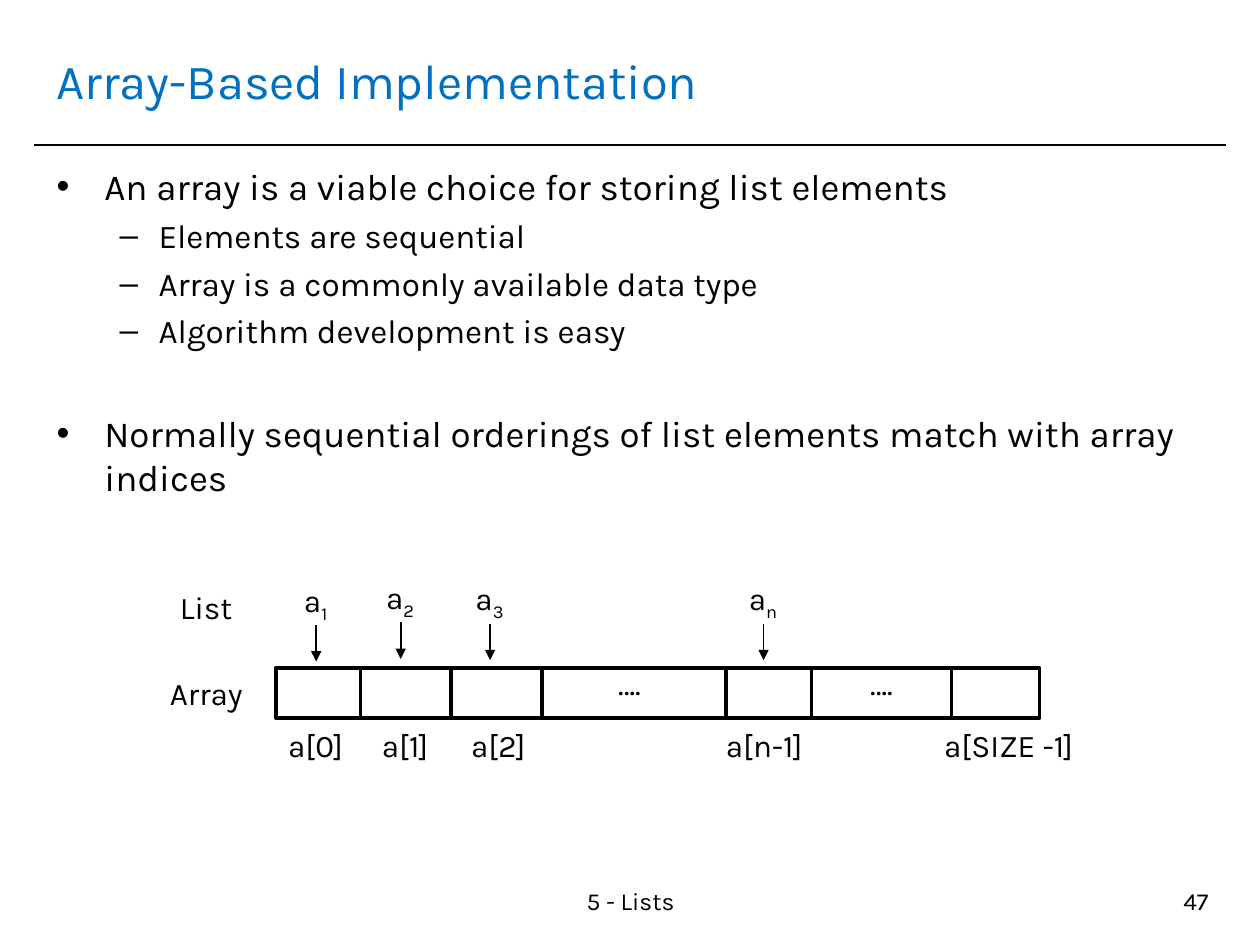
from lxml import etree
from pptx import Presentation
from pptx.dml.color import RGBColor
from pptx.enum.shapes import MSO_CONNECTOR as CONN, MSO_SHAPE as SHAPE
from pptx.enum.text import MSO_ANCHOR as ANCHOR, PP_ALIGN as ALIGN
from pptx.oxml.ns import qn
from pptx.util import Inches, Pt

BLACK, BLUE = "000000", "0070C0"

prs = Presentation()
prs.slide_width, prs.slide_height = Inches(10), Inches(7.5)
s = prs.slides.add_slide(prs.slide_layouts[6])


def add_text(text, x, y, w, h, size=18, color=BLACK, align=ALIGN.LEFT,
             anchor=ANCHOR.TOP, sub="", bullets=None):
    """Add a text box; bullets holds (char, margin, hanging, size, space before)."""
    tf = s.shapes.add_textbox(Inches(x), Inches(y), Inches(w), Inches(h)).text_frame
    tf.word_wrap = True
    tf.vertical_anchor = anchor
    for i, line in enumerate(text.split("\n")):
        p = tf.paragraphs[0] if i == 0 else tf.add_paragraph()
        p.alignment = align
        line_size = size
        if bullets:
            char, margin, hanging, line_size, before = bullets[i]
            pPr = p._p.get_or_add_pPr()
            pPr.set("marL", str(Inches(margin)))
            pPr.set("indent", str(-Inches(hanging)))
            p.space_before = Pt(before)
            etree.SubElement(pPr, qn("a:buFont")).set("typeface", "Arial")
            etree.SubElement(pPr, qn("a:buChar")).set("char", char)
        for part in filter(None, (line, sub)):
            r = p.add_run()
            r.text = part
            r.font.name, r.font.size = "Karla", Pt(line_size)
            r.font.color.rgb = RGBColor.from_string(color)
            if part == sub:
                r._r.get_or_add_rPr().set("baseline", "-25000")


def add_line(x1, y1, x2, y2, width=1, arrow=False):
    c = s.shapes.add_connector(CONN.STRAIGHT, Inches(x1), Inches(y1), Inches(x2), Inches(y2))
    c.line.color.rgb = RGBColor.from_string(BLACK)
    c.line.width = Pt(width)
    if arrow:
        etree.SubElement(c.line._get_or_add_ln(), qn("a:tailEnd")).set("type", "triangle")
    etree.SubElement(c._element.spPr, qn("a:effectLst"))


# Title and rule
add_line(0.27, 1.15, 9.73, 1.15)
add_text("Array-Based Implementation", 0.35, 0.21, 9.29, 0.85,
         size=28, color=BLUE, anchor=ANCHOR.MIDDLE)

# Bullets, with a wider gap before the second main point
dash = ("–", 0.81, 0.31, 19, 4.4)
add_text("An array is a viable choice for storing list elements\n"
         "Elements are sequential\n"
         "Array is a commonly available data type\n"
         "Algorithm development is easy\n"
         "Normally sequential orderings of list elements match with array indices",
         0.35, 1.25, 9.29, 3,
         bullets=[("•", 0.38, 0.38, 21, 0), dash, dash, dash, ("•", 0.38, 0.38, 21, 34.4)])

# Array outline and cell dividers
sp = s.shapes.add_shape(SHAPE.RECTANGLE, Inches(2.19), Inches(5.3), Inches(6.06), Inches(0.4))
sp.shadow.inherit = False
sp.fill.background()
sp.line.color.rgb = RGBColor.from_string(BLACK)
sp.line.width = Pt(2)
for x in (2.86, 3.58, 4.3, 5.76, 6.44, 7.55):
    add_line(x, 5.3, x, 5.7, width=2)

# Row labels and omitted cells
add_text("List", 1.33, 4.62, 0.87, 0.4)
add_text("Array", 1.25, 5.3, 0.87, 0.4)
for x in (4.64, 6.64):
    add_text("….", x, 5.22, 0.71, 0.4, align=ALIGN.CENTER)

# List elements, each with an arrow to its cell
for sub, x, y in (("1", 2.51, 4.56), ("2", 3.18, 4.54), ("3", 3.89, 4.55), ("n", 6.06, 4.55)):
    add_text("a", x - 0.36, y, 0.71, 0.4, align=ALIGN.CENTER, sub=sub)
    add_line(x, y + 0.4, x, y + 0.69, arrow=True)

# Array indices
for label, x, w in (("a[0]", 2.15, 0.71), ("a[1]", 2.86, 0.71), ("a[2]", 3.6, 0.71),
                    ("a[n-1]", 5.59, 0.95), ("a[SIZE -1]", 7.26, 1.49)):
    add_text(label, x, 5.71, w, 0.4, align=ALIGN.CENTER)

# Footer and slide number
add_text("5 - Lists", 3.35, 6.98, 3.31, 0.52, size=14, align=ALIGN.CENTER)
add_text("47", 7.36, 6.98, 2.33, 0.52, size=14, align=ALIGN.RIGHT)

prs.save("out.pptx")
